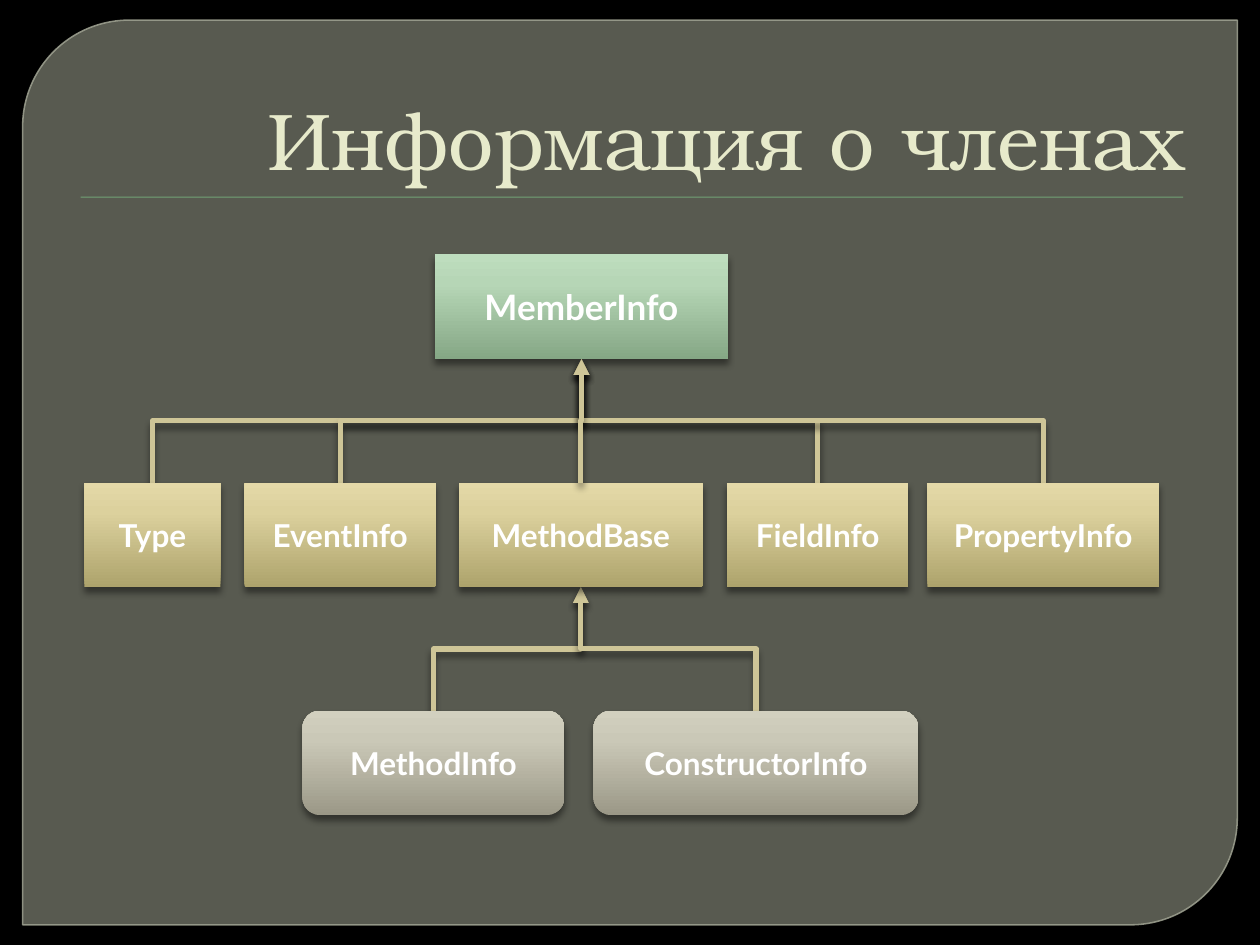
from lxml import etree
from pptx import Presentation
from pptx.dml.color import RGBColor
from pptx.enum.shapes import MSO_CONNECTOR, MSO_SHAPE
from pptx.enum.text import MSO_ANCHOR, MSO_AUTO_SIZE, PP_ALIGN
from pptx.oxml.ns import qn
from pptx.util import Inches, Pt

ELBOW = MSO_CONNECTOR.ELBOW
RECT, ROUND = MSO_SHAPE.RECTANGLE, MSO_SHAPE.ROUNDED_RECTANGLE
PANEL = MSO_SHAPE.ROUND_2_DIAG_RECTANGLE
CENTER, RIGHT = PP_ALIGN.CENTER, PP_ALIGN.RIGHT
MIDDLE, BOTTOM = MSO_ANCHOR.MIDDLE, MSO_ANCHOR.BOTTOM

BLACK = RGBColor(0x00, 0x00, 0x00)
WHITE = RGBColor(0xFF, 0xFF, 0xFF)
PANEL_FILL = RGBColor(0x88, 0x8B, 0x7B)
PANEL_LINE = RGBColor(0x9D, 0xA0, 0x90)
RULE = RGBColor(0x72, 0xA3, 0x76)
TITLE = RGBColor(0xE7, 0xEA, 0xCB)
LINK = RGBColor(0xCE, 0xC5, 0x97)
# Gradients run from the bottom edge to the top edge
GREEN = [RGBColor(0x85, 0xA7, 0x85), RGBColor(0xB6, 0xD6, 0xB6), RGBColor(0xBE, 0xDD, 0xBE)]
SAND = [RGBColor(0xAD, 0xA3, 0x6C), RGBColor(0xDC, 0xD1, 0x9D), RGBColor(0xE4, 0xD9, 0xA8)]
GREY = [RGBColor(0x9B, 0x98, 0x87), RGBColor(0xCA, 0xC8, 0xB7), RGBColor(0xD2, 0xD0, 0xBF)]
STOPS = [0, 72, 100]
BOX_H = 0.83

# Class boxes: name, left, width, corner
ROOT = ("MemberInfo", 3.45, 2.33, 0)
MEMBERS = [
    ("Type", 0.67, 1.08, 0),
    ("EventInfo", 1.94, 1.52, 0.02),
    ("FieldInfo", 5.77, 1.44, 0),
    ("PropertyInfo", 7.36, 1.84, 0.01),
    ("MethodBase", 3.64, 1.94, 0.02),
]
METHODS = [("MethodInfo", 2.4, 2.08, 0.17), ("ConstructorInfo", 4.71, 2.58, 0.17)]
ROOT_Y, MEMBER_Y, METHOD_Y = 2.02, 3.83, 5.64


def sub(parent, tag, **attrs):
    el = etree.SubElement(parent, qn(tag))
    for key, value in attrs.items():
        el.set(key, str(value))
    return el


def set_alpha(fill_parent, percent):
    color = next(fill_parent.iter(qn("a:srgbClr")))
    sub(color, "a:alpha", val=percent * 1000)


def add_shadow(shape, alpha=43, blur=4, dist=3):
    spPr = shape._element.spPr
    effects = spPr.find(qn("a:effectLst"))
    if effects is None:
        effects = sub(spPr, "a:effectLst")
    shadow = sub(effects, "a:outerShdw", blurRad=Pt(blur), dist=Pt(dist),
                 dir=5400000, rotWithShape=0)
    color = sub(shadow, "a:srgbClr", val=BLACK)
    sub(color, "a:alpha", val=alpha * 1000)


def set_gradient(shape, colors):
    shape.fill.gradient()
    shape.fill.gradient_angle = 90
    stops = next(shape._element.spPr.iter(qn("a:gsLst")))
    stops.clear()
    for pos, color in zip(STOPS, colors):
        sub(sub(stops, "a:gs", pos=pos * 1000), "a:srgbClr", val=color)


def write(shape, text, size, font, color, bold=False, align=CENTER, anchor=MIDDLE):
    tf = shape.text_frame
    tf.word_wrap = True
    tf.auto_size = MSO_AUTO_SIZE.NONE
    tf.vertical_anchor = anchor
    p = tf.paragraphs[0]
    p.alignment = align
    r = p.add_run()
    r.text = text
    r.font.size, r.font.name, r.font.bold = Pt(size), font, bold
    r.font.color.rgb = color


def add_plain(s, kind, x, y, w, h):
    sp = s.shapes.add_shape(kind, Inches(x), Inches(y), Inches(w), Inches(h))
    sp.shadow.inherit = False
    sp.line.fill.background()
    return sp


def add_frame(s, x, y, w, h):
    """Panel with two rounded corners and the rule below the title."""
    panel = add_plain(s, PANEL, x, y, w, h)
    panel.adjustments[0], panel.adjustments[1] = 0.118, 0
    panel.fill.solid()
    panel.fill.fore_color.rgb = PANEL_FILL
    set_alpha(panel._element.spPr.find(qn("a:solidFill")), 65)
    panel.line.color.rgb = PANEL_LINE
    panel.line.width = Pt(0.87)
    set_alpha(panel._element.spPr.find(qn("a:ln")), 88)
    rule = add_plain(s, RECT, x + 0.46, y + 1.4, w - 0.89, 0.01)
    rule.fill.solid()
    rule.fill.fore_color.rgb = RULE
    add_shadow(rule, alpha=75, blur=1, dist=1)


def add_title(s, text, x, y, w, h):
    title = s.shapes.title
    title.left, title.top, title.width, title.height = map(Inches, (x, y, w, h))
    write(title, text, 46, "TeX Gyre Bonum", TITLE, align=RIGHT, anchor=BOTTOM)


def add_box(s, box, y, colors, size=18):
    name, x, w, corner = box
    sp = add_plain(s, ROUND, x, y, w, BOX_H)
    sp.adjustments[0] = corner
    set_gradient(sp, colors)
    add_shadow(sp)
    write(sp, name, size, "Lato", WHITE, bold=True)


def add_link(s, child, child_y, parent, parent_y):
    """Elbow arrow from the child's top centre to the parent's bottom centre."""
    x1, x2 = (x + w / 2 for _, x, w, _ in (child, parent))
    y1, y2 = child_y, parent_y + BOX_H
    # The elbow is laid out sideways about its midpoint, then turned upright
    mid_x, mid_y = (x1 + x2) / 2, (y1 + y2) / 2
    half_w, half_h = (y1 - y2) / 2, (x2 - x1) / 2
    link = s.shapes.add_connector(
        ELBOW, Inches(mid_x - half_w), Inches(mid_y - half_h),
        Inches(mid_x + half_w), Inches(mid_y + half_h))
    spPr = link._element.spPr
    spPr.find(qn("a:xfrm")).set("rot", str(270 * 60000))
    link.line.color.rgb = LINK
    link.line.width = Pt(3)
    sub(spPr.find(qn("a:ln")), "a:tailEnd", type="triangle")
    add_shadow(link)


def add_tree(s):
    base = MEMBERS[-1]
    for member in MEMBERS[:-1]:
        add_link(s, member, MEMBER_Y, ROOT, ROOT_Y)
    for method in METHODS:
        add_link(s, method, METHOD_Y, base, MEMBER_Y)
    add_box(s, ROOT, ROOT_Y, GREEN, size=20)
    for member in MEMBERS:
        add_box(s, member, MEMBER_Y, SAND)
    for method in METHODS:
        add_box(s, method, METHOD_Y, GREY)
    add_link(s, base, MEMBER_Y, ROOT, ROOT_Y)


prs = Presentation()
prs.slide_width, prs.slide_height = Inches(10), Inches(7.5)
s = prs.slides.add_slide(prs.slide_layouts[5])
s.background.fill.solid()
s.background.fill.fore_color.rgb = BLACK
add_frame(s, 0.18, 0.16, 9.64, 7.18)
# The title sits in front of the panel
s.shapes._spTree.append(s.shapes.title._element)
add_title(s, "Информация о членах", 0.5, 0.28, 9, 1.25)
add_tree(s)
prs.save("out.pptx")
